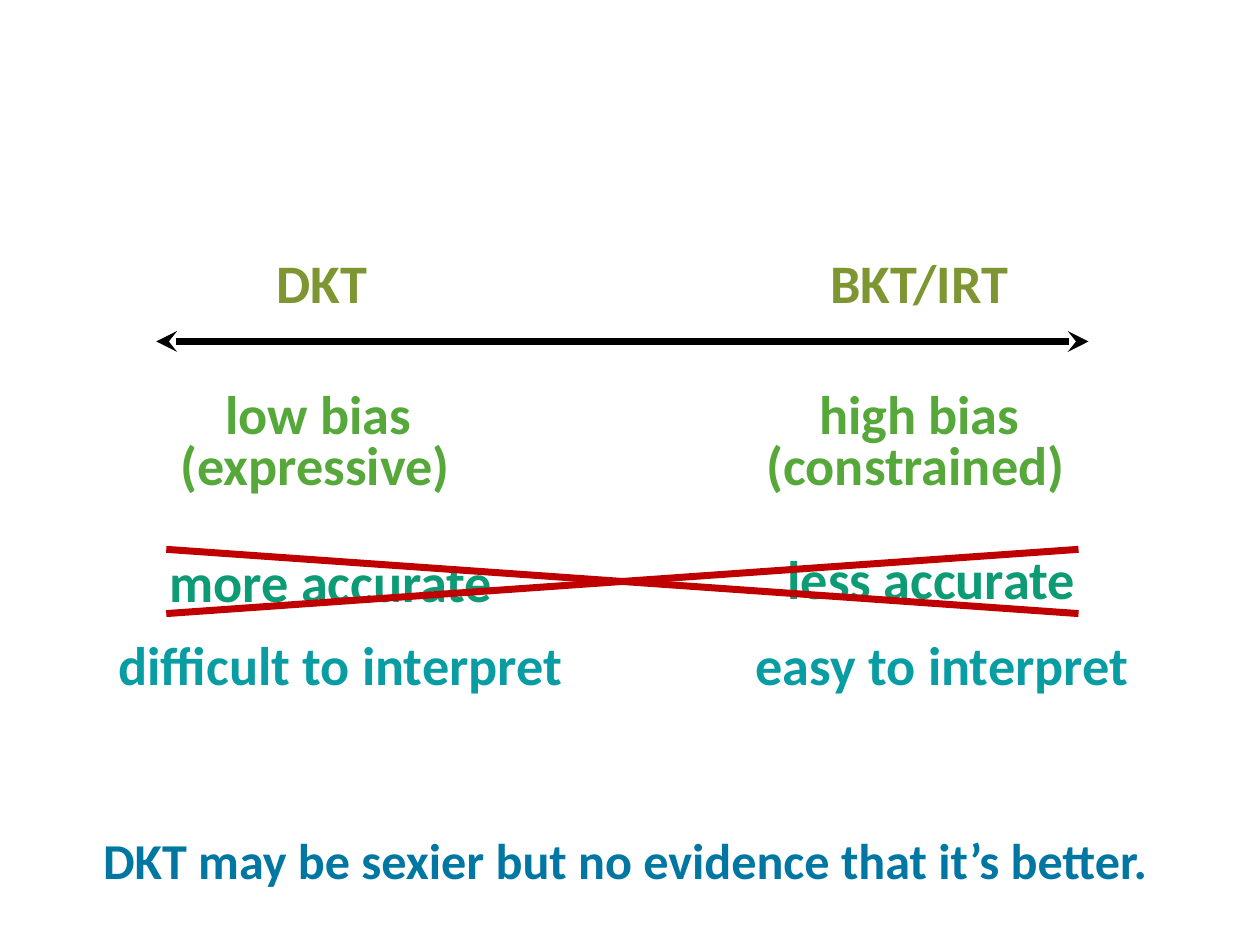
from lxml import etree
from pptx import Presentation
from pptx.dml.color import RGBColor
from pptx.enum import shapes, text
from pptx.oxml.ns import qn
from pptx.util import Emu, Pt

PX = 9144
HUES = {
    "olive": "7E9632",
    "green": "55A839",
    "jade": "0C9B74",
    "teal": "089CA3",
    "blue": "0076A3",
    "red": "C00000",
    "black": "000000",
}
ROWS = [
    ("olive", ("DKT", 209, 0, 93), ("BKT/IRT", 648, 0, 163)),
    ("green", ("low bias", 168, 104, 169), ("high bias", 639, 104, 181)),
    ("green", ("(expressive)", 132, 144, 236), ("(constrained)", 597, 144, 259)),
    ("jade", ("more accurate", 123, 237, 279), ("less accurate", 614, 235, 250)),
    ("teal", ("difficult to interpret", 81, 303, 378), ("easy to interpret", 588, 303, 319)),
]


def px(*nums):
    """Turn px lengths into EMU."""
    return [Emu(n * PX) for n in nums]


def label(slide, words, box, hue, size, wrap=False):
    """Place one bold centred line of text."""
    frame = slide.shapes.add_textbox(*px(*box)).text_frame
    frame.word_wrap = wrap
    frame.text = words
    para = frame.paragraphs[0]
    para.alignment = text.PP_ALIGN.CENTER
    font = para.runs[0].font
    font.name, font.size, font.bold = "Calibri", Pt(size), True
    font.color.rgb = RGBColor.from_string(HUES[hue])


def line(slide, ends, hue, heads=False):
    """Draw a straight line, with arrowheads at both ends if asked."""
    link = slide.shapes.add_connector(shapes.MSO_CONNECTOR.STRAIGHT, *px(*ends))
    link.line.width = Pt(4)
    link.line.color.rgb = RGBColor.from_string(HUES[hue])
    if heads:
        for end in ("a:headEnd", "a:tailEnd"):
            etree.SubElement(link.line._get_or_add_ln(), qn(end), type="stealth")
    etree.SubElement(link._element.spPr, qn("a:effectLst"))


def scale(slide, left, top):
    """Place the two-column comparison along its double arrow."""
    for hue, *pair in ROWS:
        for words, x, y, wide in pair:
            label(slide, words, (left + x, top + y, wide, 62), hue, 31)
    line(slide, (left + 124, top + 78, left + 864, top + 78), "black", True)


def cross(slide, left, top, wide, high):
    """Strike out a box with two diagonals."""
    right, low = left + wide, top + high
    line(slide, (right, top, left, low), "red")
    line(slide, (right, low, left, top), "red")


def main():
    """Build and save the slide."""
    deck = Presentation()
    deck.slide_width, deck.slide_height = px(1000, 750)
    slide = deck.slides.add_slide(deck.slide_layouts[6])
    scale(slide, 0, 193)
    cross(slide, 132, 436, 724, 51)
    label(slide, "DKT may be sexier but no evidence that it’s better.",
          (38, 653, 917, 69), "blue", 28.7, True)
    deck.save("out.pptx")


if __name__ == "__main__":
    main()
